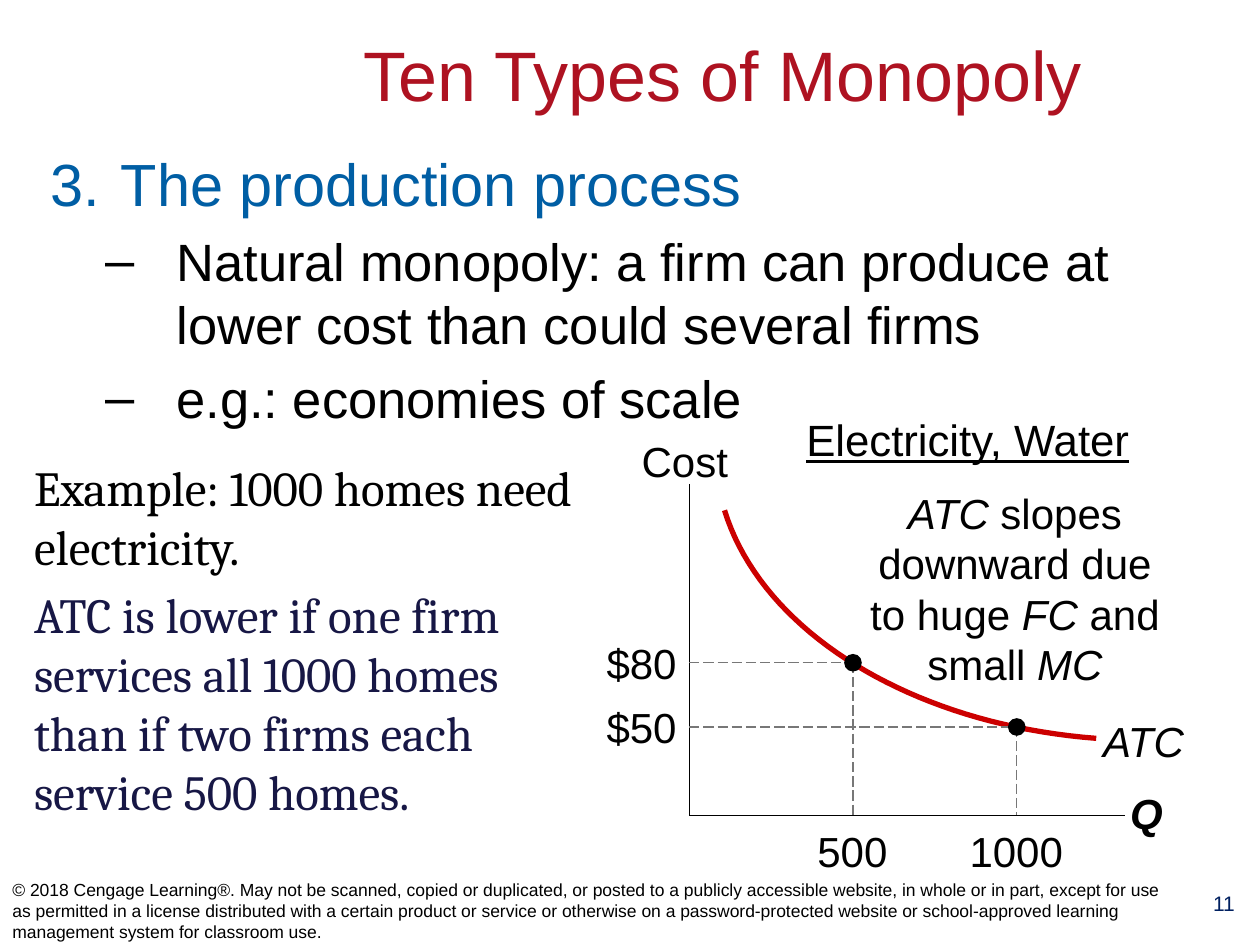
"""Build the natural monopoly slide with its average total cost diagram."""
from dataclasses import dataclass

from lxml import etree
from pptx import Presentation
from pptx.dml.color import RGBColor
from pptx.enum.dml import MSO_LINE
from pptx.enum.shapes import MSO_CONNECTOR, MSO_SHAPE
from pptx.enum.text import MSO_ANCHOR, MSO_AUTO_SIZE, PP_ALIGN
from pptx.oxml.ns import qn
from pptx.util import Inches, Pt

LEFT, CENTER, RIGHT = PP_ALIGN.LEFT, PP_ALIGN.CENTER, PP_ALIGN.RIGHT
MIDDLE = MSO_ANCHOR.MIDDLE
NO_AUTOFIT = MSO_AUTO_SIZE.NONE
LONG_DASH = MSO_LINE.LONG_DASH
STRAIGHT = MSO_CONNECTOR.STRAIGHT
OVAL = MSO_SHAPE.OVAL


@dataclass(frozen=True)
class Theme:
    sans: str = "Arial"
    serif: str = "Cambria"
    title_red: RGBColor = RGBColor(0xAE, 0x12, 0x21)
    heading_blue: RGBColor = RGBColor(0x00, 0x5E, 0xA4)
    navy: RGBColor = RGBColor(0x17, 0x17, 0x45)
    number_blue: RGBColor = RGBColor(0x00, 0x20, 0x60)
    black: RGBColor = RGBColor(0x00, 0x00, 0x00)
    guide_gray: RGBColor = RGBColor(0x77, 0x77, 0x77)
    curve_red: RGBColor = RGBColor(0xCC, 0x00, 0x00)
    title_size: int = 40
    heading_size: int = 34
    point_size: int = 30
    example_size: int = 28
    caption_size: int = 25
    label_size: int = 24
    number_size: int = 12
    notice_size: int = 10


theme = Theme()


def add_label(text, left, top, width, height, align=CENTER, size=theme.label_size, color=theme.black):
    box = slide.shapes.add_textbox(Inches(left), Inches(top), Inches(width), Inches(height))
    box.text_frame.word_wrap = True
    box.text_frame.text = text
    paragraph = box.text_frame.paragraphs[0]
    paragraph.alignment = align
    font = paragraph.runs[0].font
    font.name, font.size, font.color.rgb = theme.sans, Pt(size), color
    return box


def add_line(start_x, start_y, end_x, end_y, color, dash=None):
    line = slide.shapes.add_connector(
        STRAIGHT, Inches(start_x), Inches(start_y), Inches(end_x), Inches(end_y))
    line.line.color.rgb = color
    line.line.width = Pt(0.75)
    if dash:
        line.line.dash_style = dash
    etree.SubElement(line._element.spPr, qn("a:effectLst"))


presentation = Presentation()
presentation.slide_width, presentation.slide_height = Inches(10), Inches(7.5)
slide = presentation.slides.add_slide(presentation.slide_layouts[3])
title, points, example = slide.placeholders

for placeholder, (left, top, width, height) in (
    (title, (1.47, 0.11, 8.53, 0.94)),
    (points, (0.3, 1.12, 9.45, 2.69)),
    (example, (0.17, 3.58, 4.47, 3.17)),
):
    placeholder.left, placeholder.top = Inches(left), Inches(top)
    placeholder.width, placeholder.height = Inches(width), Inches(height)
    placeholder.text_frame.auto_size = NO_AUTOFIT

title.text_frame.text = "Ten Types of Monopoly"
title.text_frame.word_wrap = False
title.text_frame.vertical_anchor = MIDDLE
title_paragraph = title.text_frame.paragraphs[0]
title_paragraph.alignment = CENTER
title_font = title_paragraph.runs[0].font
title_font.name, title_font.size = theme.sans, Pt(theme.title_size)
title_font.color.rgb = theme.title_red

points.text_frame.text = "\n".join((
    "The production process",
    "Natural monopoly: a firm can produce at lower cost than could several firms",
    "e.g.: economies of scale",
))
for index, paragraph in enumerate(points.text_frame.paragraphs):
    paragraph.level = min(index, 1)
    properties = paragraph._p.get_or_add_pPr()
    properties.set("marL", str(Inches(1 if index else 0.56)))
    properties.set("indent", str(Inches(-0.56)))
    if index == 0:
        etree.SubElement(properties, qn("a:buFont"), typeface="+mj-lt")
        etree.SubElement(properties, qn("a:buAutoNum"), type="arabicPeriod", startAt="3")
        paragraph.space_before = Pt(0)
    font = paragraph.runs[0].font
    font.name = theme.sans
    font.size = Pt(theme.point_size if index else theme.heading_size)
    font.color.rgb = theme.black if index else theme.heading_blue

example.text_frame.text = "\n".join((
    "Example: 1000 homes need electricity.",
    "ATC is lower if one firm services all 1000 homes than if two firms each service 500 homes.",
))
for paragraph, color in zip(example.text_frame.paragraphs, (theme.black, theme.navy)):
    properties = paragraph._p.get_or_add_pPr()
    properties.set("marL", "0")
    properties.set("indent", "0")
    etree.SubElement(properties, qn("a:buNone"))
    font = paragraph.runs[0].font
    font.name, font.size, font.color.rgb = theme.serif, Pt(theme.example_size), color
example.text_frame.paragraphs[0].space_before = Pt(0)

add_label("11", 9.43, 7.02, 0.57, 0.41, size=theme.number_size, color=theme.number_blue)
notice = add_label(
    "© 2018 Cengage Learning®. May not be scanned, copied or duplicated, or posted to a publicly "
    "accessible website, in whole or in part, except for use as permitted in a license distributed "
    "with a certain product or service or otherwise on a password-protected website or "
    "school-approved learning management system for classroom use.",
    0, 6.95, 9.41, 0.55, LEFT, theme.notice_size)
notice.text_frame.vertical_anchor = MIDDLE

origin_x, origin_y = 5.47, 6.47
add_line(origin_x, 3.84, origin_x, origin_y, theme.black)
add_line(origin_x, origin_y, 8.93, origin_y, theme.black)
add_label("Cost", 4.96, 3.41, 0.95, 0.5)
quantity_font = add_label("Q", 8.87, 6.2, 0.49, 0.5, LEFT).text_frame.paragraphs[0].runs[0].font
quantity_font.bold = quantity_font.italic = True

controls = ((8.7, 5.86), (7.24, 5.75), (6.05, 5.02), (5.75, 4.05))
steps = 40
curve_points = []
for step in range(steps + 1):
    t = step / steps
    weights = ((1 - t) ** 3, 3 * t * (1 - t) ** 2, 3 * t ** 2 * (1 - t), t ** 3)
    curve_points.append(tuple(
        Inches(sum(weight * control[axis] for weight, control in zip(weights, controls)))
        for axis in (0, 1)))
builder = slide.shapes.build_freeform(*curve_points[0])
builder.add_line_segments(curve_points[1:], close=False)
curve = builder.convert_to_shape()
curve.fill.background()
curve.line.color.rgb = theme.curve_red
curve.line.width = Pt(3)
curve.shadow.inherit = False
curve_label = add_label("ATC", 8.57, 5.63, 1.01, 0.5)
curve_label.text_frame.paragraphs[0].runs[0].font.italic = True

dot_size = 0.14
for quantity, price, x, y in (("1000", "$50", 8.07, 5.77), ("500", "$80", 6.77, 5.26)):
    add_line(origin_x, y, x, y, theme.guide_gray, LONG_DASH)
    add_line(x, y, x, origin_y, theme.guide_gray, LONG_DASH)
    dot = slide.shapes.add_shape(
        OVAL, Inches(x - dot_size / 2), Inches(y - dot_size / 2), Inches(dot_size), Inches(dot_size))
    dot.fill.solid()
    dot.fill.fore_color.rgb = theme.black
    dot.line.fill.background()
    dot.shadow.inherit = False
    add_label(quantity, x - 0.48, 6.5, 0.95, 0.5)
    frame = add_label(price, 4.63, y - 0.2, 0.74, 0.4, RIGHT).text_frame
    frame.margin_left = frame.margin_right = frame.margin_top = frame.margin_bottom = 0

caption = add_label("Electricity, Water", 6.14, 3.23, 3.08, 0.52, size=theme.caption_size)
caption.text_frame.paragraphs[0].runs[0].font.underline = True

explanation = add_label("ATC", 6.8, 3.82, 2.51, 1.72).text_frame.paragraphs[0]
for text in (" slopes downward due to huge ", "FC", " and small ", "MC"):
    explanation.add_run().text = text
for index, run in enumerate(explanation.runs):
    run.font.name, run.font.size = theme.sans, Pt(theme.label_size)
    run.font.color.rgb = theme.black
    run.font.italic = index % 2 == 0

presentation.save("out.pptx")
